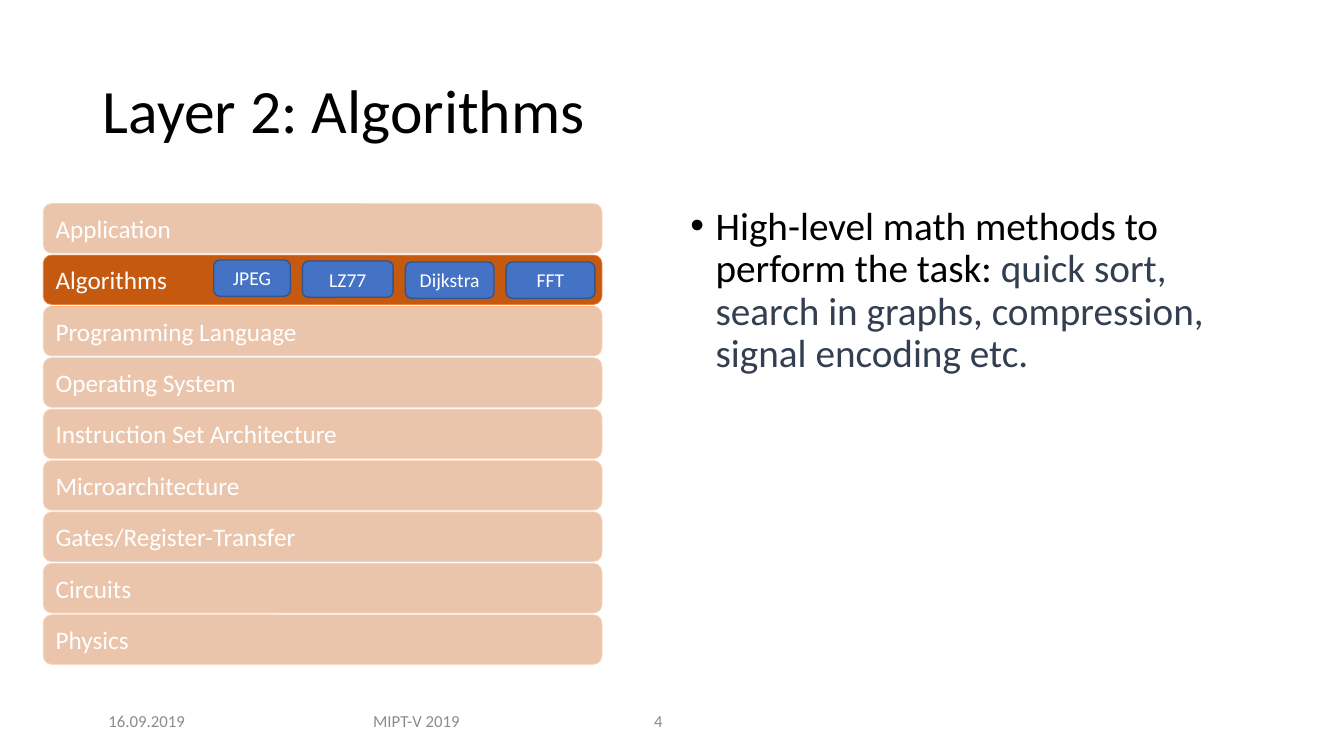
from dataclasses import dataclass

import pptx
import pptx.dml.color
import pptx.enum.shapes
import pptx.enum.text
import pptx.oxml
import pptx.oxml.ns
import pptx.util
from lxml import etree

Inches = pptx.util.Inches
Pt = pptx.util.Pt
Align = pptx.enum.text.PP_ALIGN
Shapes = pptx.enum.shapes.MSO_SHAPE


@dataclass(frozen=True)
class Theme:
    font: str = "Calibri"
    text: str = "000000"
    accent_text: str = "333F50"
    muted: str = "8C8C8C"
    white: str = "FFFFFF"
    layer_fill: str = "C65910"
    layer_line: str = "ED7D31"
    chip_fill: str = "4472C4"
    chip_line: str = "325491"
    title_size: int = 44
    body_size: int = 28
    layer_size: int = 18
    chip_size: int = 14
    footer_size: int = 12


THEME = Theme()

LAYERS = [
    "Application", "Algorithms", "Programming Language", "Operating System",
    "Instruction Set Architecture", "Microarchitecture",
    "Gates/Register-Transfer", "Circuits", "Physics",
]
LAYER_TOP, LAYER_STEP = 2.02, 0.51

# Text, left, top, width
CHIPS = [
    ("JPEG", 2.12, 2.58, 0.76),
    ("LZ77", 3.0, 2.59, 0.9),
    ("Dijkstra", 4.02, 2.6, 0.88),
    ("FFT", 5.02, 2.6, 0.88),
]

# Text, left, width, alignment
FOOTERS = [
    ("16.09.2019", 0.92, 1.07, Align.CENTER),
    ("MIPT-V 2019", 3.34, 1.58, Align.CENTER),
    ("4", 6.39, 0.79, Align.LEFT),
]


def rgb(color):
    return pptx.dml.color.RGBColor.from_string(color)


def add_run(paragraph, text, size, color):
    run = paragraph.add_run()
    run.text = text
    run.font.name = THEME.font
    run.font.size = Pt(size)
    run.font.color.rgb = rgb(color)


def prepare_frame(shape, anchor=pptx.enum.text.MSO_ANCHOR.MIDDLE):
    frame = shape.text_frame
    frame.word_wrap = True
    frame.auto_size = pptx.enum.text.MSO_AUTO_SIZE.NONE
    frame.vertical_anchor = anchor
    return frame.paragraphs[0]


def add_title(slide, text):
    title = slide.shapes.title
    title.left, title.top = Inches(0.92), Inches(0.4)
    title.width, title.height = Inches(11.5), Inches(1.45)
    paragraph = prepare_frame(title)
    paragraph.alignment = Align.LEFT
    paragraph.line_spacing = 0.9
    add_run(paragraph, text, THEME.title_size, THEME.text)


def add_text(slide, box, **frame_options):
    shape = slide.shapes.add_textbox(*map(Inches, box))
    return prepare_frame(shape, **frame_options)


def add_bullet(paragraph):
    properties = paragraph._p.get_or_add_pPr()
    properties.set("marL", str(Inches(0.25)))
    properties.set("indent", str(-Inches(0.25)))
    for tag, name, value in [("a:buFont", "typeface", "Arial"),
                             ("a:buChar", "char", "•")]:
        element = etree.SubElement(properties, pptx.oxml.ns.qn(tag))
        element.set(name, value)


def add_filled(slide, kind, box, fill):
    shape = slide.shapes.add_shape(kind, *map(Inches, box))
    shape.shadow.inherit = False
    shape.fill.solid()
    shape.fill.fore_color.rgb = rgb(fill)
    return shape


def add_label(slide, text, box, fill, line, line_width, size, alignment):
    shape = add_filled(slide, Shapes.ROUNDED_RECTANGLE, box, fill)
    shape.line.color.rgb = rgb(line)
    shape.line.width = Pt(line_width)
    paragraph = prepare_frame(shape)
    paragraph.alignment = alignment
    add_run(paragraph, text, size, THEME.white)


def add_veil(slide, box, opacity=65):
    """Fade whatever lies below with translucent white."""
    shape = add_filled(slide, Shapes.RECTANGLE, box, THEME.white)
    shape.line.fill.background()
    color = shape._element.spPr.find(".//" + pptx.oxml.ns.qn("a:srgbClr"))
    alpha = etree.SubElement(color, pptx.oxml.ns.qn("a:alpha"))
    alpha.set("val", str(opacity * 1000))


def main():
    presentation = pptx.Presentation()
    presentation.slide_width = Inches(13.33)
    presentation.slide_height = Inches(7.5)
    slide = presentation.slides.add_slide(presentation.slide_layouts[5])

    # Title and explanation
    add_title(slide, "Layer 2: Algorithms")
    paragraph = add_text(slide, (6.75, 2, 5.67, 4.76),
                         anchor=pptx.enum.text.MSO_ANCHOR.TOP)
    add_bullet(paragraph)
    paragraph.line_spacing = 0.9
    add_run(paragraph, "High-level math methods to perform the task: ",
            THEME.body_size, THEME.text)
    add_run(paragraph,
            "quick sort, search in graphs, compression, signal encoding etc.",
            THEME.body_size, THEME.accent_text)

    # Footer
    for text, left, width, alignment in FOOTERS:
        paragraph = add_text(slide, (left, 6.95, width, 0.4))
        paragraph.alignment = alignment
        add_run(paragraph, text, THEME.footer_size, THEME.muted)

    # Stack of layers, all faded but the current one
    for index, text in enumerate(LAYERS):
        box = (0.43, LAYER_TOP + index * LAYER_STEP, 5.54, 0.49)
        add_label(slide, text, box, THEME.layer_fill, THEME.layer_line, 0.5,
                  THEME.layer_size, Align.LEFT)
    add_veil(slide, (0.29, 1.94, 6.16, 0.59))
    add_veil(slide, (0, 3.04, 6.16, 3.7))

    # Example algorithms
    for text, left, top, width in CHIPS:
        add_label(slide, text, (left, top, width, 0.36), THEME.chip_fill,
                  THEME.chip_line, 1, THEME.chip_size, Align.CENTER)

    presentation.save("out.pptx")


if __name__ == "__main__":
    main()
